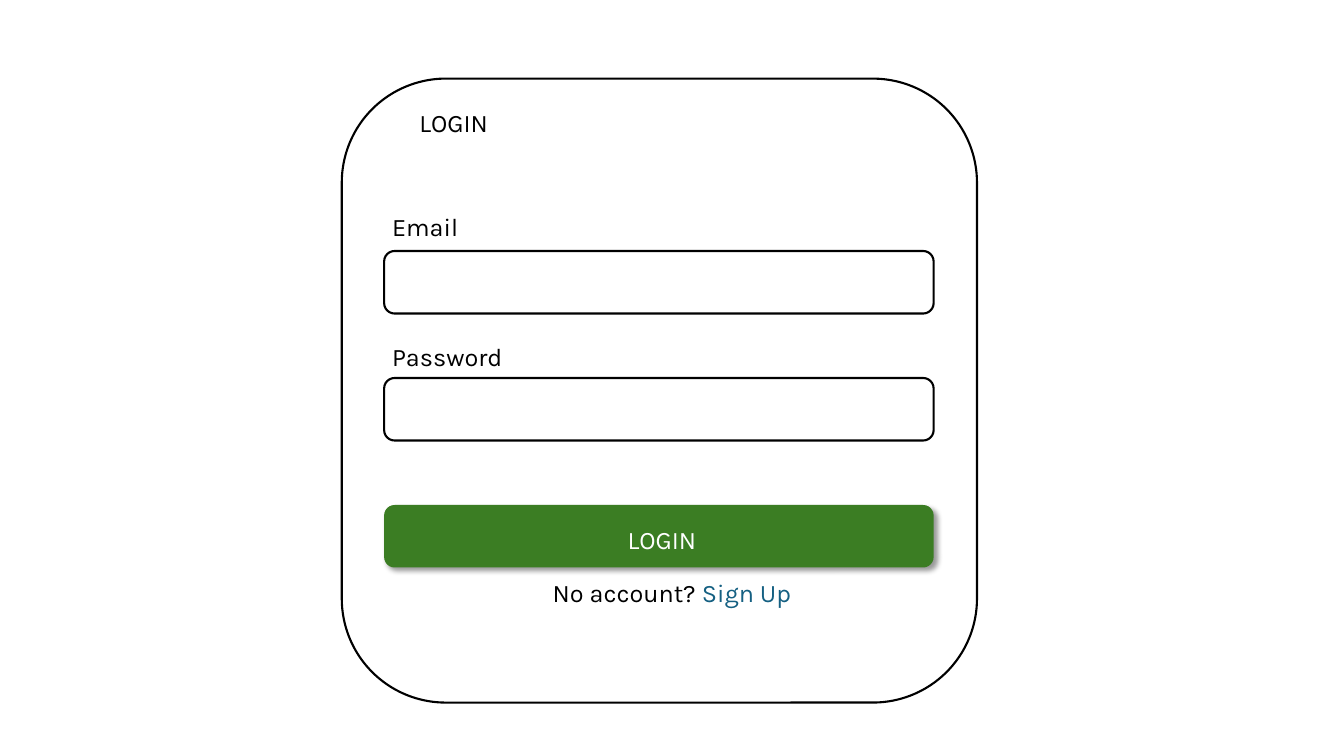
from dataclasses import dataclass

import pptx
import pptx.dml.color
import pptx.enum.shapes
import pptx.enum.text
import pptx.oxml
import pptx.oxml.ns
import pptx.util

Inches = pptx.util.Inches
ALIGN = pptx.enum.text.PP_ALIGN


@dataclass(frozen=True)
class Theme:
    font: str = "Karla"
    size: int = 18
    outline: float = 1.5
    ink: str = "000000"
    paper: str = "FFFFFF"
    button: str = "3B7D23"
    link: str = "156082"


THEME = Theme()
ROW_HEIGHT = 0.62
TEXT_HEIGHT = 0.4
LABEL_WIDTH = 2.47


def rgb(value):
    return pptx.dml.color.RGBColor.from_string(value)


def rounded_box(slide, left, top, width, height, fill, line=None):
    box = slide.shapes.add_shape(
        pptx.enum.shapes.MSO_SHAPE.FLOWCHART_ALTERNATE_PROCESS,
        Inches(left), Inches(top), Inches(width), Inches(height))
    box.shadow.inherit = False
    box.fill.solid()
    box.fill.fore_color.rgb = rgb(fill)
    if line:
        box.line.color.rgb = rgb(line)
        box.line.width = pptx.util.Pt(THEME.outline)
    else:
        box.line.fill.background()
    return box


def write(holder, parts, align=ALIGN.LEFT):
    """Fill a text holder with (text, colour) parts on one line."""
    frame = holder.text_frame
    frame.word_wrap = True
    frame.auto_size = pptx.enum.text.MSO_AUTO_SIZE.SHAPE_TO_FIT_TEXT
    frame.vertical_anchor = pptx.enum.text.MSO_ANCHOR.TOP
    line = frame.paragraphs[0]
    line.alignment = align
    for text, color in parts:
        run = line.add_run()
        run.text = text
        run.font.name = THEME.font
        run.font.size = pptx.util.Pt(THEME.size)
        run.font.color.rgb = rgb(color)


def label(slide, left, top, width, parts, align=ALIGN.LEFT):
    holder = slide.shapes.add_textbox(
        Inches(left), Inches(top), Inches(width), Inches(TEXT_HEIGHT))
    write(holder, parts, align)


def cast_shadow(box):
    """Soft shadow: 40% black, 4 pt blur, 3 pt away at 45 degrees."""
    effects = box._element.spPr.find(pptx.oxml.ns.qn("a:effectLst"))
    effects.append(pptx.oxml.parse_xml(
        f'<a:outerShdw {pptx.oxml.ns.nsdecls("a")} blurRad="{pptx.util.Pt(4)}" '
        f'dist="{pptx.util.Pt(3)}" dir="2700000" algn="tl" rotWithShape="0">'
        f'<a:srgbClr val="{THEME.ink}"><a:alpha val="40000"/></a:srgbClr>'
        '</a:outerShdw>'))


def heading(slide, left, top):
    title = slide.shapes.title
    title.left, title.top = Inches(left), Inches(top)
    title.width, title.height = Inches(LABEL_WIDTH), Inches(TEXT_HEIGHT)
    write(title, [("LOGIN", THEME.ink)])
    # Bring the heading in front of the card
    slide.shapes._spTree.append(title._element)


def field(slide, left, top, width, caption, caption_rise):
    rounded_box(slide, left, top, width, ROW_HEIGHT, THEME.paper, THEME.ink)
    label(slide, left - 0.02, top - caption_rise, LABEL_WIDTH,
          [(caption, THEME.ink)])


def login_button(slide, left, top, width):
    button = rounded_box(slide, left, top, width, ROW_HEIGHT, THEME.button)
    cast_shadow(button)
    label(slide, left + 1.52, top + 0.14, LABEL_WIDTH,
          [("LOGIN", THEME.paper)], ALIGN.CENTER)


def login_card(slide, left, top, width, height):
    rounded_box(slide, left, top, width, height, THEME.paper, THEME.ink)
    heading(slide, left + 0.67, top + 0.23)

    # Two fields and the button, evenly spaced
    row_left, row_width = left + 0.42, width - 0.85
    first_row, row_step = top + 1.71, 1.26
    for index, (caption, rise) in enumerate([("Email", 0.44), ("Password", 0.41)]):
        field(slide, row_left, first_row + index * row_step, row_width, caption, rise)
    button_top = first_row + 2 * row_step
    login_button(slide, row_left, button_top, row_width)

    # Sign-up prompt under the button
    label(slide, left + 1.11, button_top + 0.67, 4.33,
          [("No account? ", THEME.ink), ("Sign Up", THEME.link)], ALIGN.CENTER)


def main():
    deck = pptx.Presentation()
    deck.slide_width, deck.slide_height = Inches(13.33), Inches(7.5)
    slide = deck.slides.add_slide(deck.slide_layouts.get_by_name("Title Only"))
    slide.background.fill.solid()
    slide.background.fill.fore_color.rgb = rgb(THEME.paper)
    login_card(slide, 3.39, 0.78, 6.3, 6.19)
    deck.save("out.pptx")


if __name__ == "__main__":
    main()
